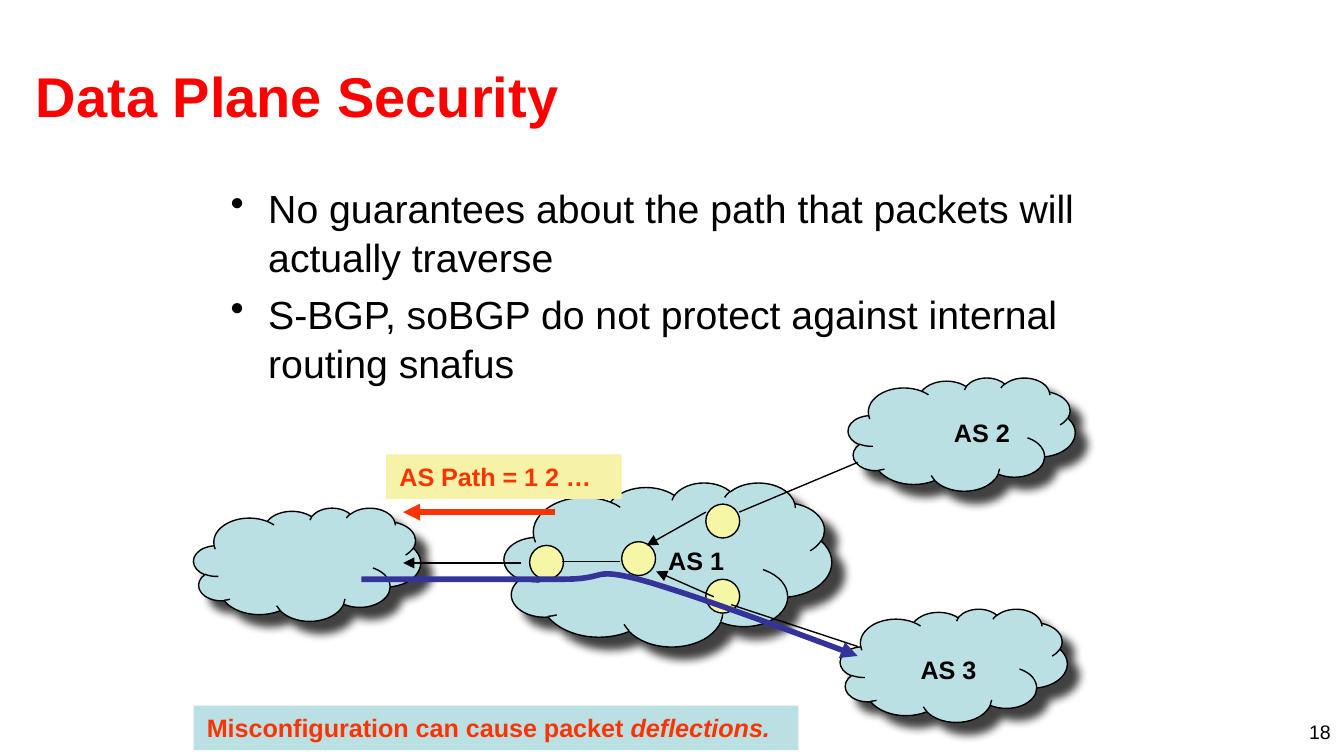
from dataclasses import dataclass
from pptx import Presentation
from pptx.dml.color import RGBColor
from pptx.enum.shapes import MSO_CONNECTOR, MSO_SHAPE
from pptx.enum.text import MSO_ANCHOR, PP_ALIGN
from pptx.oxml import parse_xml
from pptx.oxml.ns import nsdecls, qn
from pptx.util import Cm, Pt


@dataclass(frozen=True)
class Theme:
    font: str = "Arial"
    title: str = "FF0000"
    ink: str = "000000"
    alert: str = "FF3300"
    route: str = "333399"
    cloud: str = "BBE0E3"
    node: str = "F5F7A7"
    note: str = "F6F2A8"
    title_size: float = 30
    body_size: float = 21
    label_size: float = 13.5
    number_size: float = 10.5
    thin: float = 0.75
    thick: float = 3


def rgb(color):
    return RGBColor.from_string(color)


def bezier(p0, p1, p2, p3, steps=12):
    """Points along a cubic curve, without its start."""
    for i in range(1, steps + 1):
        t = i / steps
        u = 1 - t
        yield tuple(u**3 * a + 3 * u * u * t * b + 3 * u * t * t * c + t**3 * d
                    for a, b, c, d in zip(p0, p1, p2, p3))


class Board:
    def __init__(self, prs, theme):
        self.theme = theme
        self.s = prs.slides.add_slide(prs.slide_layouts[6])

    def fill_text(self, sp, lines, size, color, bold=False, align=PP_ALIGN.LEFT,
                  anchor=MSO_ANCHOR.TOP):
        tf = sp.text_frame
        tf.text = "\n".join(lines)
        tf.word_wrap = True
        tf.vertical_anchor = anchor
        for p in tf.paragraphs:
            p.alignment = align
            for r in p.runs:
                self.style(r, size, color, bold)
        return tf

    def style(self, r, size, color, bold):
        r.font.name, r.font.size, r.font.bold = self.theme.font, Pt(size), bold
        r.font.color.rgb = rgb(color)

    def text(self, box, lines, size, color, **options):
        sp = self.s.shapes.add_textbox(*map(Cm, box))
        return self.fill_text(sp, lines, size, color, **options)

    def bullets(self, box, lines):
        t = self.theme
        tf = self.text(box, lines, t.body_size, t.ink)
        for i, p in enumerate(tf.paragraphs):
            p.line_spacing = 1.04
            if i:
                p.space_before = Pt(4.2)
            pPr = p._p.get_or_add_pPr()
            pPr.set("marL", str(Cm(0.71)))
            pPr.set("indent", str(-Cm(0.71)))
            pPr.append(parse_xml(f'<a:buChar {nsdecls("a")} char="•"/>'))

    def shape(self, kind, box, fill, outlined=True):
        sp = self.s.shapes.add_shape(kind, *map(Cm, box))
        sp.fill.solid()
        sp.fill.fore_color.rgb = rgb(fill)
        if outlined:
            self.stroke(sp, self.theme.ink, self.theme.thin)
        else:
            sp.line.fill.background()
        sp.shadow.inherit = False
        return sp

    def stroke(self, sp, color, width, arrow=False):
        sp.line.color.rgb = rgb(color)
        sp.line.width = Pt(width)
        if arrow:
            sp.line._get_or_add_ln().append(
                parse_xml(f'<a:tailEnd {nsdecls("a")} type="triangle"/>'))

    def cloud(self, x, y, w=4.29, h=2.14):
        sp = self.shape(MSO_SHAPE.CLOUD, (x, y, w, h), self.theme.cloud)
        sp._element.spPr.find(qn("a:effectLst")).append(parse_xml(
            f'<a:outerShdw {nsdecls("a")} blurRad="{Pt(5)}" dist="{Pt(8.5)}" '
            'dir="2700000" algn="ctr" rotWithShape="0"><a:srgbClr val="000000">'
            '<a:alpha val="75000"/></a:srgbClr></a:outerShdw>'))

    def node(self, x, y):
        self.shape(MSO_SHAPE.OVAL, (x, y, 0.64, 0.64), self.theme.node)

    def label(self, x, y, name):
        t = self.theme
        self.text((x, y, 2.24, 0.84), [name], t.label_size, t.ink, bold=True)

    def banner(self, x, y, w, fill, words):
        t = self.theme
        sp = self.shape(MSO_SHAPE.RECTANGLE, (x, y, w, 0.84), fill, outlined=False)
        return self.fill_text(sp, [words], t.label_size, t.alert, bold=True)

    def link(self, *ends, color=None, width=None, arrow=False):
        line = self.s.shapes.add_connector(MSO_CONNECTOR.STRAIGHT, *map(Cm, ends))
        self.stroke(line, color or self.theme.ink, width or self.theme.thin, arrow)
        line._element.spPr.append(parse_xml(f'<a:effectLst {nsdecls("a")}/>'))

    def curve(self, start, segments):
        points = [start]
        for segment in segments:
            points.extend(bezier(points[-1], *segment))
        points = [(Cm(x), Cm(y)) for x, y in points]
        fb = self.s.shapes.build_freeform(*points[0])
        fb.add_line_segments(points[1:], close=False)
        sp = fb.convert_to_shape()
        sp.fill.background()
        self.stroke(sp, self.theme.route, self.theme.thick, arrow=True)
        sp.shadow.inherit = False


def main():
    prs = Presentation()
    prs.slide_width, prs.slide_height = Cm(25.4), Cm(14.29)
    t = Theme()
    b = Board(prs, t)

    # Title, bullets and slide number
    b.text((0.43, 0.61, 24.33, 2.39), ["Data Plane Security"], t.title_size, t.title,
           bold=True, anchor=MSO_ANCHOR.MIDDLE)
    b.bullets((4.11, 3.33, 17.15, 4.29), [
        "No guarantees about the path that packets will actually traverse",
        "S-BGP, soBGP do not protect against internal routing snafus"])
    b.text((19.48, 13.49, 5.92, 0.48), ["18"], t.number_size, t.ink,
           align=PP_ALIGN.RIGHT)

    # AS 1 with its inner routers
    b.cloud(9.53, 9.12, 6.19, 3.1)
    for x, y in [(11.75, 10.24), (13.34, 9.53), (13.34, 10.95)]:
        b.node(x, y)
    b.link(13.34, 9.68, 12.22, 10.31, arrow=True)
    b.link(13.49, 11.28, 12.4, 10.8, arrow=True)

    # Neighbouring networks
    b.cloud(16.03, 7.14)
    b.cloud(15.88, 11.51)
    b.link(13.97, 9.68, 16.21, 8.74)
    b.link(13.82, 11.43, 16.21, 12.22)
    b.cloud(3.66, 9.6)
    for x, y, name in [(12.38, 10.19, "AS 1"), (17.78, 7.77, "AS 2"),
                       (17.15, 12.24, "AS 3")]:
        b.label(x, y, name)

    # Announced path
    b.link(9.84, 10.64, 7.62, 10.64, arrow=True)
    b.banner(7.3, 8.59, 4.45, t.note, "AS Path = 1 2 …")
    b.link(10.48, 9.68, 7.62, 9.68, color=t.alert, width=t.thick, arrow=True)
    b.node(10.01, 10.31)
    b.link(10.62, 10.62, 11.71, 10.62)

    # Path the packets really take
    b.curve((6.83, 10.95), [
        ((8.31, 10.95), (9.75, 10.95), (10.64, 10.95)),
        ((11.51, 10.95), (11.15, 10.72), (12.07, 10.95)),
        ((12.98, 11.2), (14.58, 11.79), (16.21, 12.4))])

    # Conclusion
    tf = b.banner(3.66, 13.34, 11.43, t.cloud, "Misconfiguration can cause packet ")
    r = tf.paragraphs[0].add_run()
    r.text = "deflections."
    b.style(r, t.label_size, t.alert, True)
    r.font.italic = True

    prs.save("out.pptx")


if __name__ == "__main__":
    main()
